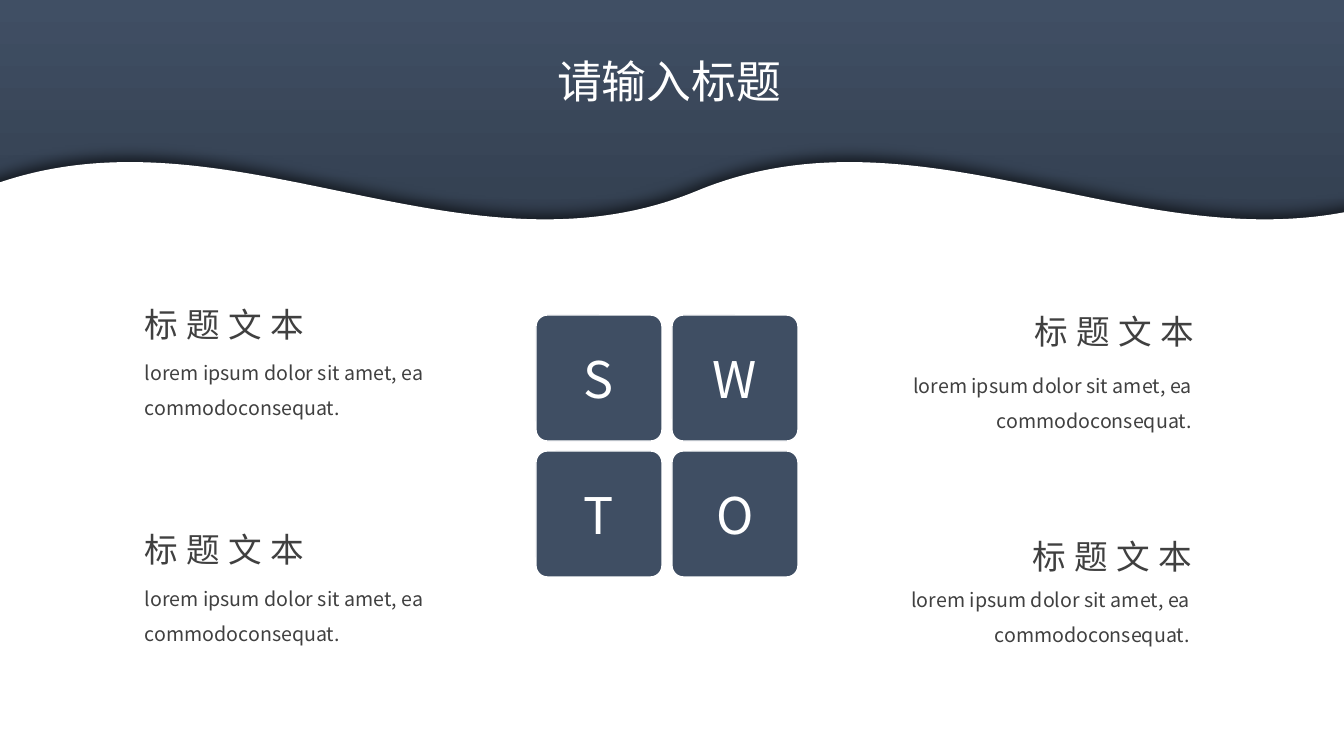
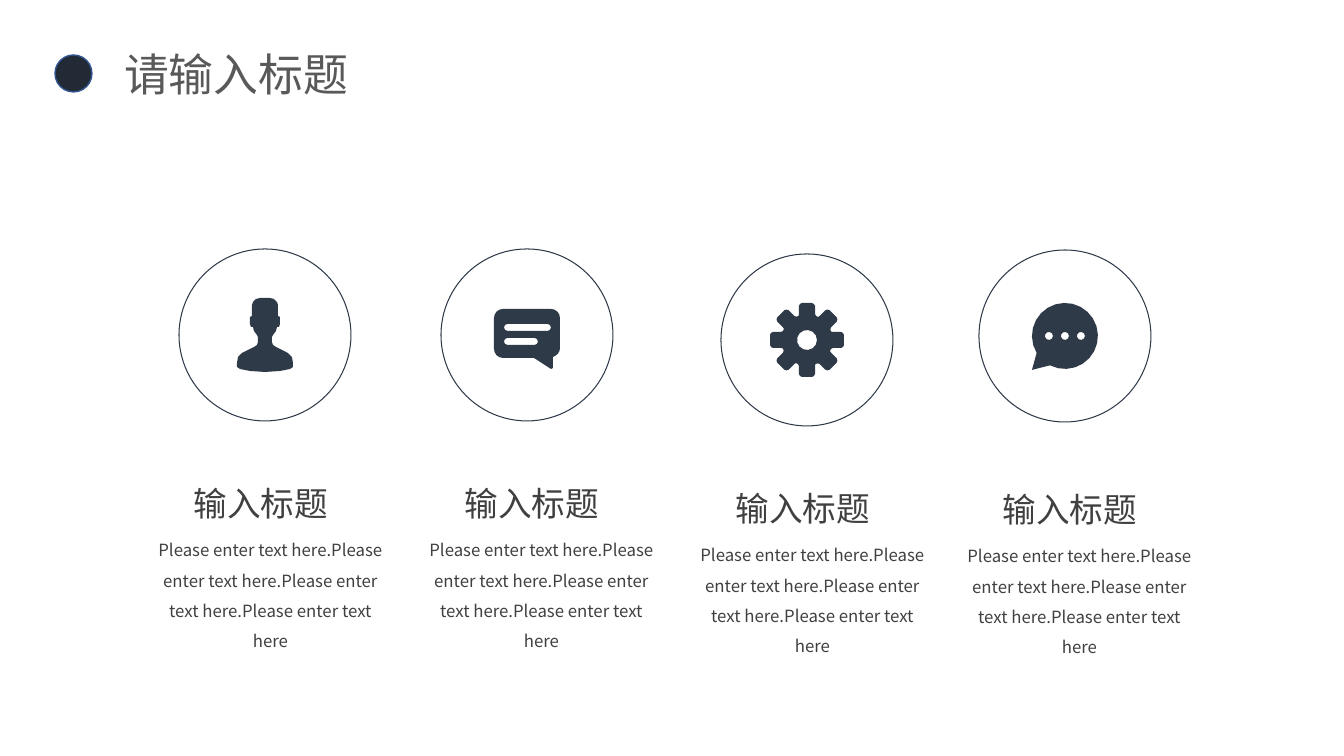
from dataclasses import dataclass
from math import acos, ceil, cos, radians, sin

from lxml import etree
from pptx import Presentation
from pptx.dml.color import RGBColor
from pptx.enum.shapes import MSO_SHAPE
from pptx.enum.text import MSO_ANCHOR, MSO_AUTO_SIZE, PP_ALIGN
from pptx.oxml.ns import qn
from pptx.util import Emu, Inches, Pt

RECT, WAVE = MSO_SHAPE.RECTANGLE, MSO_SHAPE.DOUBLE_WAVE
OVAL, TILE = MSO_SHAPE.OVAL, MSO_SHAPE.ROUNDED_RECTANGLE
LEFT, MID, RIGHT = PP_ALIGN.LEFT, PP_ALIGN.CENTER, PP_ALIGN.RIGHT
TOP, CORE = MSO_ANCHOR.TOP, MSO_ANCHOR.MIDDLE
FIXED = MSO_AUTO_SIZE.NONE
SCALE = Inches(7.5) / 756
FINE = 100


@dataclass(frozen=True)
class Theme:
    font: str = "Noto Sans CJK SC"
    white: str = "FFFFFF"
    sky: str = "404F64"
    night: str = "222A35"
    tile: str = "3F4E63"
    icon: str = "2F3A49"
    rim: str = "325491"
    text: str = "404040"
    grey: str = "595959"
    black: str = "000000"
    title: int = 32
    letter: int = 36
    head: int = 24
    body: int = 14
    small: int = 12


T = Theme()


def px(n):
    return Emu(round(n * SCALE))


def rgb(code):
    return RGBColor.from_string(code)


def write(shape, text, size, color, align=LEFT, anchor=TOP, lead=None, track=0, wrap=True):
    frame = shape.text_frame
    frame.text = text
    frame.word_wrap = wrap
    frame.auto_size = FIXED
    frame.vertical_anchor = anchor
    para = frame.paragraphs[0]
    para.alignment = align
    para.space_before = Pt(0)
    para.line_spacing = lead
    font = para.runs[0].font
    font.size = Pt(size)
    font.color.rgb = rgb(color)
    font.name = T.font
    props = para.runs[0]._r.get_or_add_rPr()
    etree.SubElement(props, qn("a:ea"), typeface=T.font)
    if track:
        props.set("spc", str(track * 100))


def label(slide, box, text, size, **style):
    shape = slide.shapes.add_textbox(*map(px, box))
    write(shape, text, size, T.text, **style)


def paint(shape, fill=None, line=None, width=1):
    shape.shadow.inherit = False
    if fill:
        shape.fill.solid()
        shape.fill.fore_color.rgb = rgb(fill)
    else:
        shape.fill.background()
    if line:
        shape.line.color.rgb = rgb(line)
        shape.line.width = Pt(width)
    else:
        shape.line.fill.background()


def draw(slide, kind, box, **look):
    shape = slide.shapes.add_shape(kind, *map(px, box))
    paint(shape, **look)
    return shape


def title(slide, x, y, color):
    shape = slide.shapes.title
    shape.left, shape.top, shape.width, shape.height = map(px, (x, y, 247, 65))
    write(shape, "请输入标题", T.title, color, wrap=False)
    shape.element.getparent().append(shape.element)


def arc(x, y, r, start, end):
    span = radians(end - start)
    count = ceil(span / (2 * acos(1 - 0.3 / r)))
    angles = [radians(start) + span * i / count for i in range(count + 1)]
    return [(x + r * cos(a), y + r * sin(a)) for a in angles]


def pill(x, y, w, h):
    r = h / 2
    return arc(x + r, y + r, r, 90, 270) + arc(x + w - r, y + r, r, -90, 90)


def person():
    half = [
        (0, -37), (5, -37), (9, -36), (12, -33), (13, -30), (13, -19),
        (15, -18), (15, -11), (14, -8), (12, -8), (11, -4), (8, 0),
        (7, 2), (7, 7), (8, 10), (11, 12), (23, 18), (27, 22),
        (28, 28), (28, 32), (25, 34), (15, 36), (0, 37),
    ]
    return [half + [(-x, y) for x, y in half[-2:0:-1]]]


def memo():
    body = [
        *arc(-24, -17, 9, 180, 270), *arc(24, -17, 9, 270, 360),
        *arc(24, 13, 9, 0, 60), (26, 22), (26, 33), (24, 34), (7, 23),
        *arc(-24, 14, 9, 90, 180),
    ]
    return [body, pill(-23, -11, 47, 7), pill(-23, 3, 34, 7)]


def gear():
    tooth = [
        (-8, -26), (-8, -34), (-7, -36), (-5, -37), (5, -37),
        (7, -36), (8, -34), (8, -26), (9, -24), (11, -23),
    ]
    rim = []
    for i in range(8):
        c, s = cos(radians(45 * i)), sin(radians(45 * i))
        rim += [(x * c - y * s, x * s + y * c) for x, y in tooth]
    return [rim, arc(0, 0, 10, 0, 360)]


def chat():
    bubble = arc(0, 0, 33, 149, 477) + [(-33, 34)]
    return [bubble] + [arc(x, 0, 4, 0, 360) for x in (-16, 0, 16)]


def icon(slide, x, y, loops):
    fine = [[(a * FINE, b * FINE) for a, b in loop] for loop in loops]
    pen = slide.shapes.build_freeform(*fine[0][0], scale=SCALE / FINE)
    for i, loop in enumerate(fine):
        if i:
            pen.move_to(*loop[0])
        pen.add_line_segments(loop[1:], close=True)
    paint(pen.convert_to_shape(px(x), px(y)), T.icon)


def banner(slide):
    band = draw(slide, RECT, (0, 0, 1344, 643))
    band.fill.gradient()
    band.fill.gradient_angle = 270
    for stop, code, place in zip(band.fill.gradient_stops, (T.sky, T.night), (0, 0.79)):
        stop.color.rgb = rgb(code)
        stop.position = place
    wave = draw(slide, WAVE, (-28, 161, 1445, 744), fill=T.white)
    wave.adjustments[0] = 0.04
    wave.adjustments[1] = -0.002
    effects = wave.element.spPr.find(qn("a:effectLst"))
    shade = etree.SubElement(effects, qn("a:outerShdw"), blurRad=str(Pt(10)),
                             dist=str(Pt(3)), dir="16200000", rotWithShape="0")
    tone = etree.SubElement(shade, qn("a:srgbClr"), val=T.black)
    etree.SubElement(tone, qn("a:alpha"), val="62000")


def tiles(slide, x, y):
    for i, letter in enumerate("SWTO"):
        row, col = divmod(i, 2)
        box = (x + 136 * col, y + 136 * row, 126, 126)
        tile = draw(slide, TILE, box, fill=T.tile, line=T.white)
        tile.adjustments[0] = 0.09
        write(tile, letter, T.letter, T.white, align=MID, anchor=CORE)


def note(slide, x, y, gap, align):
    label(slide, (x, y, 302, 50), "标题文本", T.head, align=align, track=6)
    label(slide, (x, y + gap, 300, 82), "lorem ipsum dolor sit amet, ea commodoconsequat.",
          T.body, align=align, lead=1.5)


def ring(slide, x, y, size, loops):
    draw(slide, OVAL, (x, y, size, size), line=T.icon, width=0.75)
    icon(slide, x + size / 2, y + size / 2, loops)


def entry(slide, x, y):
    label(slide, (x, y + 47, 245, 102), ".".join(["Please enter text here"] * 4),
          T.small, align=MID, lead=1.5)
    label(slide, (x, y, 226, 50), "输入标题", T.head, align=MID)


def swot(slide):
    banner(slide)
    title(slide, 547, 49, T.white)
    tiles(slide, 536, 315)
    for spot in ((135, 299, 45, LEFT), (135, 524, 46, LEFT),
                 (902, 306, 51, RIGHT), (900, 531, 40, RIGHT)):
        note(slide, *spot)


def steps(slide):
    title(slide, 114, 42, T.grey)
    draw(slide, OVAL, (55, 55, 37, 37), fill=T.night, line=T.rim)
    columns = (
        (179, 249, 148, 478, person),
        (441, 249, 419, 478, memo),
        (721, 254, 690, 483, gear),
        (979, 250, 957, 484, chat),
    )
    for left, top, x, y, shape in columns:
        ring(slide, left, top, 172, shape())
        entry(slide, x, y)


def main():
    deck = Presentation()
    deck.slide_width, deck.slide_height = px(1344), px(756)
    for build in (swot, steps):
        build(deck.slides.add_slide(deck.slide_layouts[5]))
    deck.save("out.pptx")


if __name__ == "__main__":
    main()
